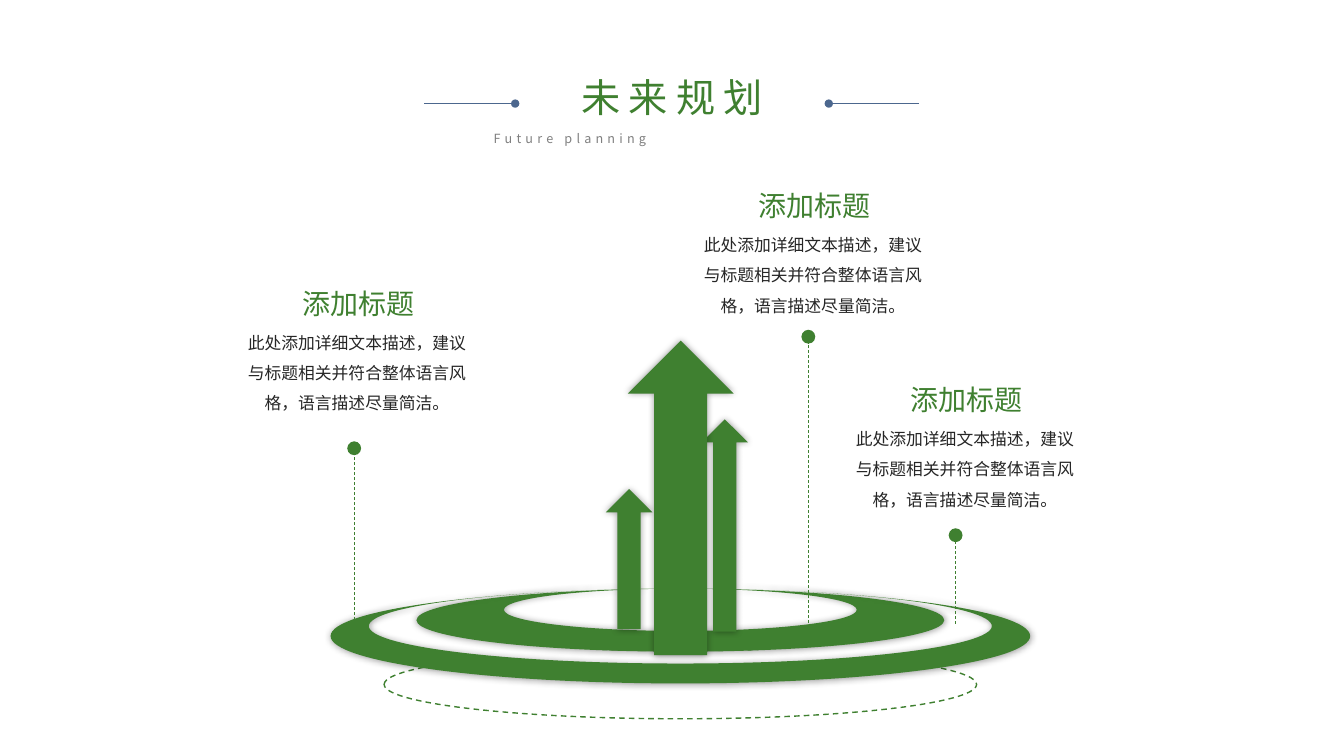
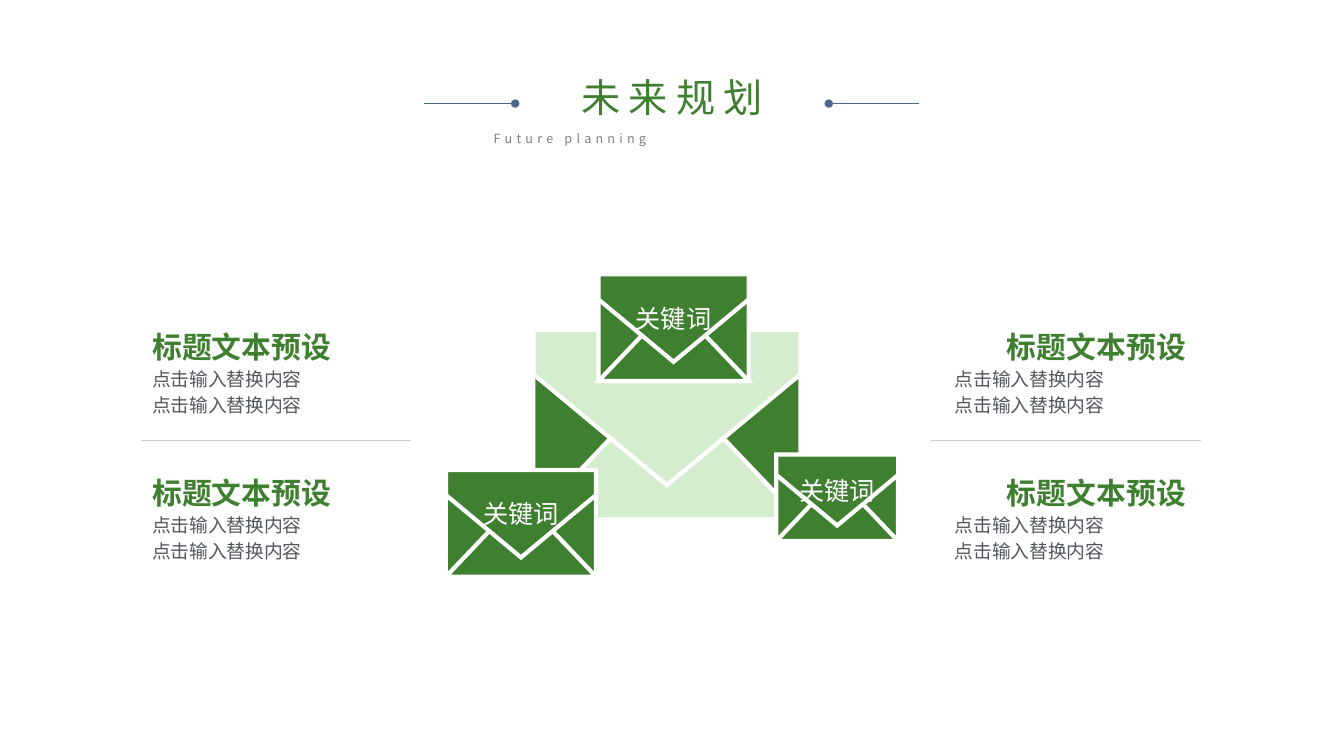
import lxml.etree
import pptx
import pptx.dml.color
import pptx.enum.dml
import pptx.enum.shapes
import pptx.enum.text
import pptx.oxml.ns
import pptx.util

Pt = pptx.util.Pt
qn = pptx.oxml.ns.qn
Align = pptx.enum.text.PP_ALIGN
Anchor = pptx.enum.text.MSO_ANCHOR
Preset = pptx.enum.shapes.MSO_SHAPE
DASH = pptx.enum.dml.MSO_LINE.DASH

FONT = "Noto Sans CJK SC"
TITLE_ONLY = 5
CURVE = 0.55  # handle length of a quarter ellipse
COLORS = {
    "green": "3F8030",
    "pale": "D4EDCE",
    "blue": "4C678E",
    "white": "FFFFFF",
    "black": "000000",
    "ink": "262626",
    "slate": "53585F",
    "gray": "808080",
    "rule": "CCCCCC",
}


def rgb(name):
    return pptx.dml.color.RGBColor.from_string(COLORS[name])


def add_element(parent, tag, **attributes):
    return lxml.etree.SubElement(parent, qn(tag), attributes)


def write_text(frame, text, *, size, color, bold=False, align=Align.LEFT, spacing=None,
               tracking=0, anchor=Anchor.TOP, inset=(7.2, 3.6), wrap=True):
    """Fill a text frame; each line of the text becomes a paragraph."""
    frame.auto_size = pptx.enum.text.MSO_AUTO_SIZE.NONE
    frame.word_wrap = wrap
    frame.vertical_anchor = anchor
    frame.margin_left = frame.margin_right = Pt(inset[0])
    frame.margin_top = frame.margin_bottom = Pt(inset[1])
    for index, line in enumerate(text.split("\n")):
        para = frame.add_paragraph() if index else frame.paragraphs[0]
        para.alignment = align
        para.line_spacing = spacing
        span = para.add_run()
        span.text = line
        span.font.size = Pt(size)
        span.font.bold = bold
        span.font.color.rgb = rgb(color)
        span.font.name = FONT
        properties = span._r.get_or_add_rPr()
        add_element(properties, "a:ea", typeface=FONT)
        if tracking:
            properties.set("spc", str(tracking * 100))


def ellipse_handles(center, top, width, height, turn):
    """Corner and handle points of an ellipse, from its top point round."""
    quarter = [(0, -1), (CURVE, -1), (1, -CURVE)]
    points = []
    for _ in range(4):
        points += quarter
        quarter = [(-y, x) for x, y in quarter]
    points.append((0, -1))
    return [(center + turn * x * width / 2, top + (1 + y) * height / 2) for x, y in points]


def bend(shape):
    """Turn every three straight segments of a freeform into one curve."""
    for outline in shape._element.iter(qn("a:path")):
        segments = outline.findall(qn("a:lnTo"))
        for start in range(0, len(segments), 3):
            curve = lxml.etree.Element(qn("a:cubicBezTo"))
            segments[start].addprevious(curve)
            for segment in segments[start:start + 3]:
                curve.append(segment[0])
                outline.remove(segment)


class Board:
    """Holds the deck, the current page and the shared style."""

    def __init__(self):
        self.deck = pptx.Presentation()
        self.deck.slide_width, self.deck.slide_height = Pt(960), Pt(540)
        self.page = None

    def start_page(self, title, subtitle):
        self.page = self.deck.slides.add_slide(self.deck.slide_layouts[TITLE_ONLY])
        box = self.page.shapes.title
        box.left, box.top, box.width, box.height = Pt(371.5), Pt(49), Pt(217), Pt(41)
        write_text(box.text_frame, title, size=28, color="green",
                   align=Align.CENTER, tracking=6)
        self.text(345.6, 90, 269, 18, subtitle, size=9, color="gray",
                  align=Align.JUSTIFY, tracking=3)
        for outer, inner in ((303, 368), (656.5, 592)):
            self.line(outer, 74, inner, 74, "blue", dot="med")

    def text(self, left, top, width, height, text, **style):
        box = self.page.shapes.add_textbox(Pt(left), Pt(top), Pt(width), Pt(height))
        write_text(box.text_frame, text, **style)

    def line(self, x1, y1, x2, y2, color, dash=None, dot=None):
        line = self.page.shapes.add_connector(
            pptx.enum.shapes.MSO_CONNECTOR.STRAIGHT, Pt(x1), Pt(y1), Pt(x2), Pt(y2))
        line.line.color.rgb = rgb(color)
        line.line.width = Pt(0.5)
        if dash:
            line.line.dash_style = dash
        if dot:
            add_element(line.line._get_or_add_ln(), "a:tailEnd",
                        type="oval", w=dot, len=dot)
        add_element(line._element.spPr, "a:effectLst")

    def paint(self, shape, fill=None, outline=None, weight=1, dash=None, shadow=False):
        shape.shadow.inherit = False
        if fill:
            shape.fill.solid()
            shape.fill.fore_color.rgb = rgb(fill)
        else:
            shape.fill.background()
        if outline:
            shape.line.color.rgb = rgb(outline)
            shape.line.width = Pt(weight)
            if dash:
                shape.line.dash_style = dash
            add_element(shape.line._get_or_add_ln(), "a:miter", lim="800000")
        else:
            shape.line.fill.background()
        if shadow:
            effects = shape._element.spPr.find(qn("a:effectLst"))
            glow = add_element(effects, "a:outerShdw", blurRad=str(Pt(5)), dist="0",
                               dir="0", algn="ctr", rotWithShape="0")
            tint = add_element(glow, "a:srgbClr", val=COLORS["black"])
            add_element(tint, "a:alpha", val="40000")

    def shape(self, preset, left, top, width, height, flip=False, **paint):
        shape = self.page.shapes.add_shape(preset, Pt(left), Pt(top), Pt(width), Pt(height))
        if flip:
            shape._element.spPr.xfrm.set("flipH", "1")
        self.paint(shape, **paint)

    def outline(self, *contours, **paint):
        """Draw one freeform from one or more closed lists of points."""
        builder = None
        for contour in contours:
            first, *rest = [(Pt(x), Pt(y)) for x, y in contour]
            if builder is None:
                builder = self.page.shapes.build_freeform(*first, scale=1.0)
            else:
                builder.move_to(*first)
            # A contour that ends where it starts needs no extra segment
            builder.add_line_segments(rest, close=rest[-1] != first)
        shape = builder.convert_to_shape()
        self.paint(shape, **paint)
        return shape

    def ring(self, center, top, outer, inner, **paint):
        """Draw the area between two ellipses that touch at the top."""
        bend(self.outline(ellipse_handles(center, top, *outer, 1),
                          ellipse_handles(center, top, *inner, -1), **paint))

    def slivers(self, center, top, width, height, toe):
        """Draw two thin mirrored triangles."""
        for turn in (1, -1):
            start, end = center - turn * width / 2, center + turn * width / 2
            self.outline([(start, top), (start + turn * width * toe, top + height),
                          (end, top + height)], fill="green")

    def callout(self, left, top, heading, body):
        self.text(left + 43, top, 92, 30, heading, size=20, color="green",
                  align=Align.CENTER, inset=(5.8, 2.9), wrap=False)
        self.text(left, top + 25, 176, 73, body, size=12, color="ink",
                  align=Align.CENTER, spacing=1.5)

    def envelope(self, left, top, width, front="green", label=None):
        height = width * 0.71
        paint = {"outline": "white", "weight": 3}
        side = width * 0.865
        for x, flip in ((left, False), (left + width - side, True)):
            self.shape(Preset.RIGHT_TRIANGLE, x, top + height * 0.2, side, height * 0.8,
                       flip=flip, fill="green", **paint)
        self.shape(Preset.ISOSCELES_TRIANGLE, left, top + height * 0.26, width,
                   height * 0.74, fill=front, **paint)
        right, shoulder = left + width, top + height * 0.235
        flap = self.outline([(left, top), (right, top), (right, shoulder),
                             (left + width / 2, top + height * 0.82), (left, shoulder)],
                            fill=front, **paint)
        if label:
            write_text(flap.text_frame, label, size=18, color="white",
                       align=Align.CENTER, anchor=Anchor.MIDDLE, wrap=False)

    def topic(self, left, top, body_left, body_width, align, heading, body):
        self.text(body_left, top + 24.5, body_width, 40, body, size=13.33,
                  color="slate", spacing=1.2, inset=(0, 0))
        self.text(left, top, 206, 24.5, heading, size=21.33, color="green",
                  bold=True, align=align, inset=(0, 0), wrap=False)


def growth_page(board):
    board.start_page("未来规划", "Future planning")
    # Platform: nested rings that share their top point
    center, top = 486, 420.5
    board.shape(Preset.OVAL, 274.4, 464.4, 423.2, 49, outline="green", dash=DASH)
    sizes = [(499.7, 67.7), (445, 53.5), (377, 45), (252, 30.2)]
    board.ring(center, top, sizes[1], sizes[2], fill="white")
    board.ring(center, top, sizes[2], sizes[3], fill="green", shadow=True)
    # Fine facets at the back edge: drop, width, height, toe
    for drop, width, height, toe in (
            (0, 20.9, 0.2, 0.9), (0, 24.5, 0.2, 0.94), (0.2, 5.8, 0.2, 0.88),
            (0.2, 18, 0.5, 0.8), (0.7, 5.8, 0.2, 0.75), (0.8, 18, 0.5, 0.64),
            (1.4, 5, 0.2, 0.6), (1.5, 16.6, 0.6, 0.57), (2.2, 5.8, 0.3, 0.5),
            (2.6, 13, 0.6, 0.45), (3.4, 10, 0.6, 0.43), (4.2, 3.6, 0.2, 0.4)):
        board.slivers(center, top + drop, width, height, toe)
    board.ring(center, top, sizes[0], sizes[1], fill="green", shadow=True)
    # Dotted stems
    for x, bottom, tip in ((253, 453.6, 320.2), (682.6, 445.7, 382.3),
                           (577.4, 455.8, 240.5)):
        board.line(x, bottom, x, tip, "green", dash=DASH, dot="lg")
    # Rising arrows
    for left, tip, width, height in ((501.1, 299.5, 33.2, 151.6),
                                     (432.8, 349.4, 33.2, 100),
                                     (448.4, 243.3, 75.6, 224.7)):
        board.shape(Preset.UP_ARROW, left, tip, width, height, fill="green", shadow=True)
    # Captions
    for left, caption_top in ((167, 201.6), (601.3, 270.5), (492.7, 132)):
        board.callout(left, caption_top, "添加标题",
                      "此处添加详细文本描述，建议与标题相关并符合整体语言风格，语言描述尽量简洁。")


def keyword_page(board):
    board.start_page("未来规划", "Future planning")
    # Envelopes
    board.envelope(381, 235.5, 190.8, front="pale")
    for left, top, width in ((318.5, 335.7, 107.3), (554.5, 324.7, 87), (427.5, 196, 107.3)):
        board.envelope(left, top, width, label="关键词")
    # Topics on both sides
    sides = ((641.4, 682, 165, Align.RIGHT, 665.2), (108.7, 108.7, 206, Align.LEFT, 100.8))
    for left, body_left, body_width, align, rule_left in sides:
        for top in (234.7, 339):
            board.topic(left, top, body_left, body_width, align, "标题文本预设",
                        "点击输入替换内容\n点击输入替换内容")
        board.line(rule_left, 314.6, rule_left + 192.8, 314.6, "rule")


def main():
    board = Board()
    growth_page(board)
    keyword_page(board)
    board.deck.save("out.pptx")


if __name__ == "__main__":
    main()
